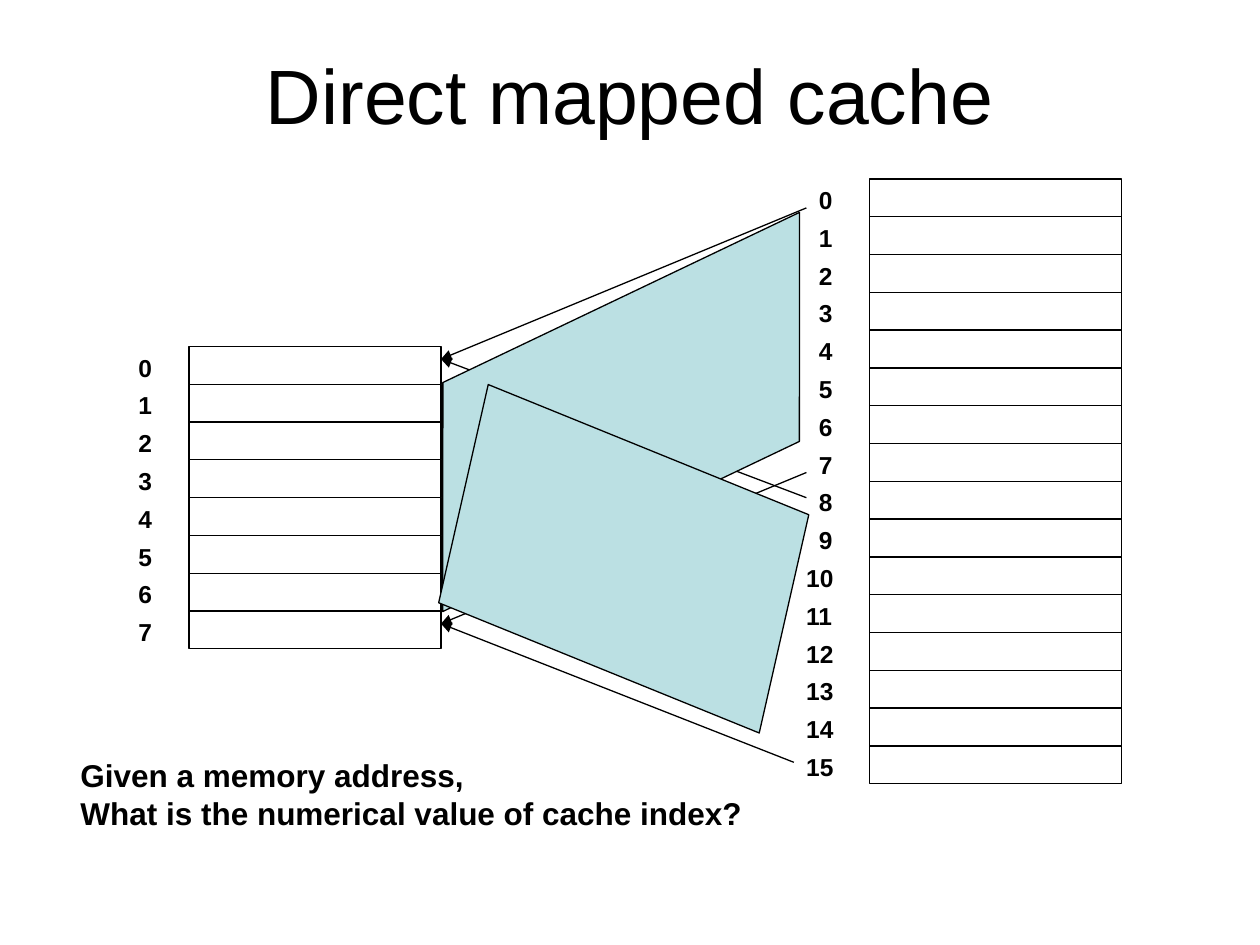
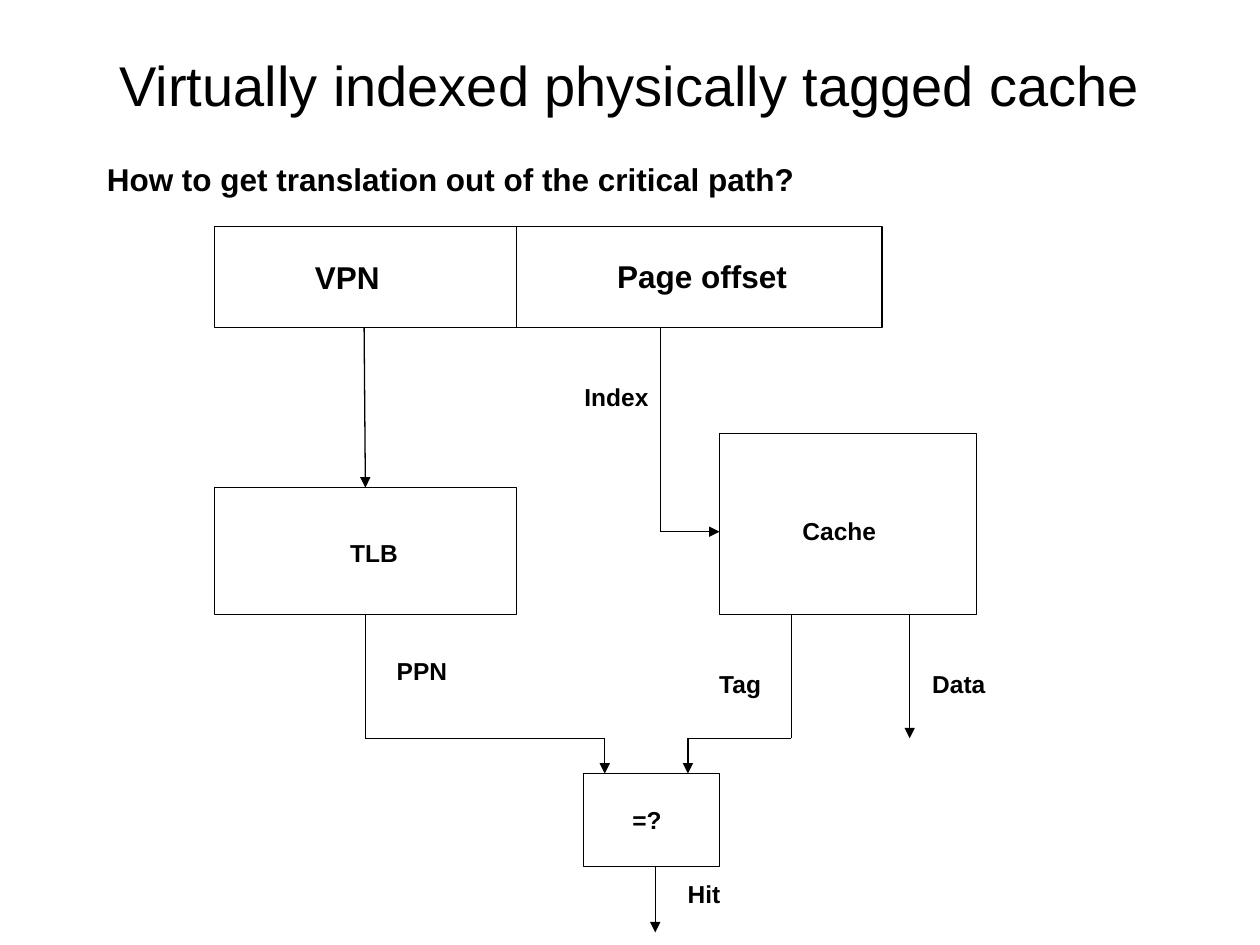
from lxml import etree
from pptx import Presentation
from pptx.dml.color import RGBColor
from pptx.enum.shapes import MSO_CONNECTOR, MSO_SHAPE
from pptx.enum.text import MSO_ANCHOR, MSO_AUTO_SIZE, PP_ALIGN
from pptx.oxml.ns import qn
from pptx.util import Inches, Pt

RECT, DATA = MSO_SHAPE.RECTANGLE, MSO_SHAPE.FLOWCHART_DATA
STRAIGHT = MSO_CONNECTOR.STRAIGHT
CENTER, MIDDLE, NO_FIT = PP_ALIGN.CENTER, MSO_ANCHOR.MIDDLE, MSO_AUTO_SIZE.NONE

COLORS = {"ink": "000000", "band": "BBE0E3"}
FONT = "Arial"
LINE_WIDTH = 0.75

# Slide 1: two columns of numbered slots, joined by arrows and bands
SLOT_W, SLOT_H = 2, 0.3
MEMORY = {"left": 6.9, "top": 1.42, "count": 16}
CACHE = {"left": 1.5, "top": 2.75, "count": 8}
MAPPINGS = [  # memory end, cache end
    [(6.4, 1.65), (3.5, 2.85)],
    [(6.4, 3.75), (3.5, 4.95)],
    [(6.4, 3.95), (3.5, 2.85)],
    [(6.3, 6.05), (3.5, 4.95)],
]
BANDS = [  # left, top, width, height, rotation
    (2.97, 2.45, 3.92, 1.64, 334.5),
    (3.84, 3.08, 2.22, 2.71, 102.8),
]
QUESTION = ["Given a memory address,", "What is the numerical value of cache index?"]

# Slide 2: lookup diagram
BOXES = [
    (1.7, 1.8, 5.3, 0.8),    # virtual address
    (1.7, 3.87, 2.4, 1.01),  # TLB
    (5.71, 3.44, 2.04, 1.44),  # cache
    (4.63, 6.14, 1.08, 0.74),  # comparison
]
LABELS = [  # text, left, top, width, size
    ("VPN", 2.4, 2, 0.99, 18),
    ("Page offset", 4.8, 1.99, 2.03, 18),
    ("TLB", 2.68, 4.22, 0.69, 14),
    ("Cache", 6.27, 4.05, 0.95, 14),
    ("=?", 4.92, 6.34, 0.54, 14),
    ("Index", 4.54, 2.98, 0.82, 14),
    ("PPN", 3.05, 5.16, 0.71, 14),
    ("Tag", 5.61, 5.26, 0.65, 14),
    ("Data", 7.3, 5.26, 0.73, 14),
    ("Hit", 5.36, 6.93, 0.57, 14),
]
ADDRESS_SPLIT = [(4.1, 1.8), (4.1, 2.6)]
FLOWS = [  # corner points, arrowhead at the last one
    [(2.89, 2.6), (2.9, 3.87)],                            # VPN to TLB
    [(5.24, 2.6), (5.24, 4.22), (5.71, 4.22)],             # index to cache
    [(2.9, 4.88), (2.9, 5.86), (4.8, 5.86), (4.8, 6.14)],  # PPN to comparison
    [(6.28, 4.88), (6.28, 5.86), (5.46, 5.86), (5.46, 6.14)],  # tag to comparison
    [(7.22, 4.88), (7.22, 5.86)],                          # data out
    [(5.2, 6.88), (5.2, 7.4)],                             # hit out
]


def color(name):
    return RGBColor.from_string(COLORS[name])


def style_line(line):
    line.color.rgb = color("ink")
    line.width = Pt(LINE_WIDTH)


def write(tf, lines, size, bold=False, align=None):
    for i, text in enumerate(lines):
        p = tf.paragraphs[0] if i == 0 else tf.add_paragraph()
        if align is not None:
            p.alignment = align
        r = p.add_run()
        r.text = text
        r.font.name, r.font.size, r.font.bold = FONT, Pt(size), bold
        r.font.color.rgb = color("ink")


def add_text(s, lines, left, top, width, height, size=14, wrap=True):
    box = s.shapes.add_textbox(*map(Inches, (left, top, width, height)))
    tf = box.text_frame
    tf.word_wrap = wrap
    write(tf, lines, size, bold=True)


def add_box(s, left, top, width, height, kind=RECT, fill=None, rotation=0):
    sp = s.shapes.add_shape(kind, *map(Inches, (left, top, width, height)))
    sp.shadow.inherit = False
    sp.rotation = rotation
    if fill:
        sp.fill.solid()
        sp.fill.fore_color.rgb = color(fill)
    else:
        sp.fill.background()
    style_line(sp.line)


def add_path(s, points, arrow=True):
    for i, (start, end) in enumerate(zip(points, points[1:]), 2):
        c = s.shapes.add_connector(STRAIGHT, *map(Inches, start + end))
        style_line(c.line)
        sp_pr = c._element.spPr
        if arrow and i == len(points):
            etree.SubElement(sp_pr.find(qn("a:ln")), qn("a:tailEnd"), type="triangle")
        etree.SubElement(sp_pr, qn("a:effectLst"))


def add_slide(prs, title, size, height):
    s = prs.slides.add_slide(prs.slide_layouts[5])
    sp = s.shapes.title
    sp.left, sp.top, sp.width, sp.height = map(Inches, (0.5, 0.3, 9, height))
    tf = sp.text_frame
    tf.vertical_anchor, tf.auto_size = MIDDLE, NO_FIT
    write(tf, [title], size, align=CENTER)
    return s


def add_slots(s, left, top, count):
    for i in range(count):
        y = top + i * SLOT_H
        add_box(s, left, y, SLOT_W, SLOT_H)
        two_digits = i > 9
        offset, width = (0.6, 0.62) if two_digits else (0.5, 0.31)
        add_text(s, [str(i)], left - offset, y, width, 0.34, wrap=two_digits)


def direct_mapped(prs):
    s = add_slide(prs, "Direct mapped cache", 44, 0.89)
    for column in (MEMORY, CACHE):
        add_slots(s, **column)
    for points in MAPPINGS:
        add_path(s, points)
    for *place, rotation in BANDS:
        add_box(s, *place, kind=DATA, fill="band", rotation=rotation)
    add_text(s, QUESTION, 0.54, 5.95, 5.45, 0.7, size=18, wrap=False)


def virtually_indexed(prs):
    s = add_slide(prs, "Virtually indexed physically tagged cache", 32, 0.74)
    add_text(s, ["How to get translation out of the critical path?"],
             0.75, 1.22, 5.66, 0.4, size=18, wrap=False)
    for place in BOXES:
        add_box(s, *place)
    add_path(s, ADDRESS_SPLIT, arrow=False)
    for points in FLOWS:
        add_path(s, points)
    for text, left, top, width, size in LABELS:
        add_text(s, [text], left, top, width, 0.4 if size == 18 else 0.34, size=size)


def main():
    prs = Presentation()
    prs.slide_width, prs.slide_height = Inches(10), Inches(7.5)
    direct_mapped(prs)
    virtually_indexed(prs)
    prs.save("out.pptx")


if __name__ == "__main__":
    main()
